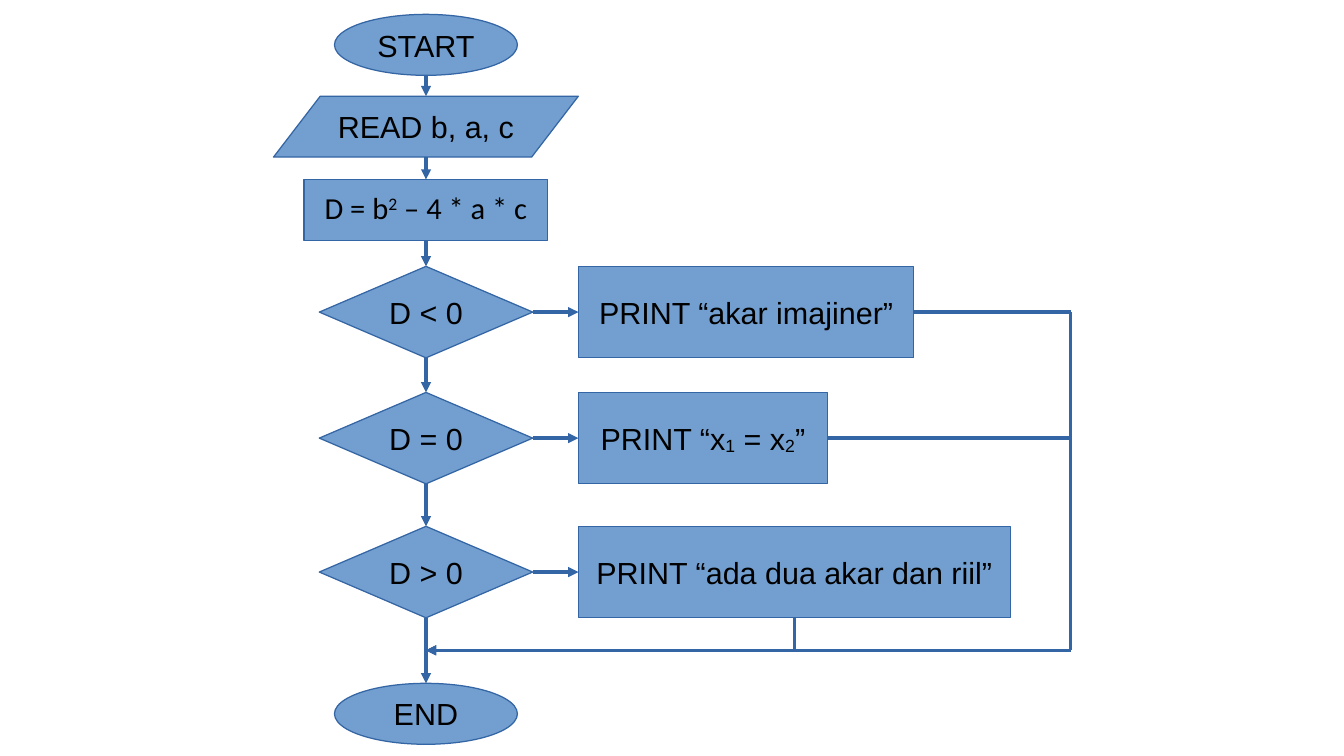
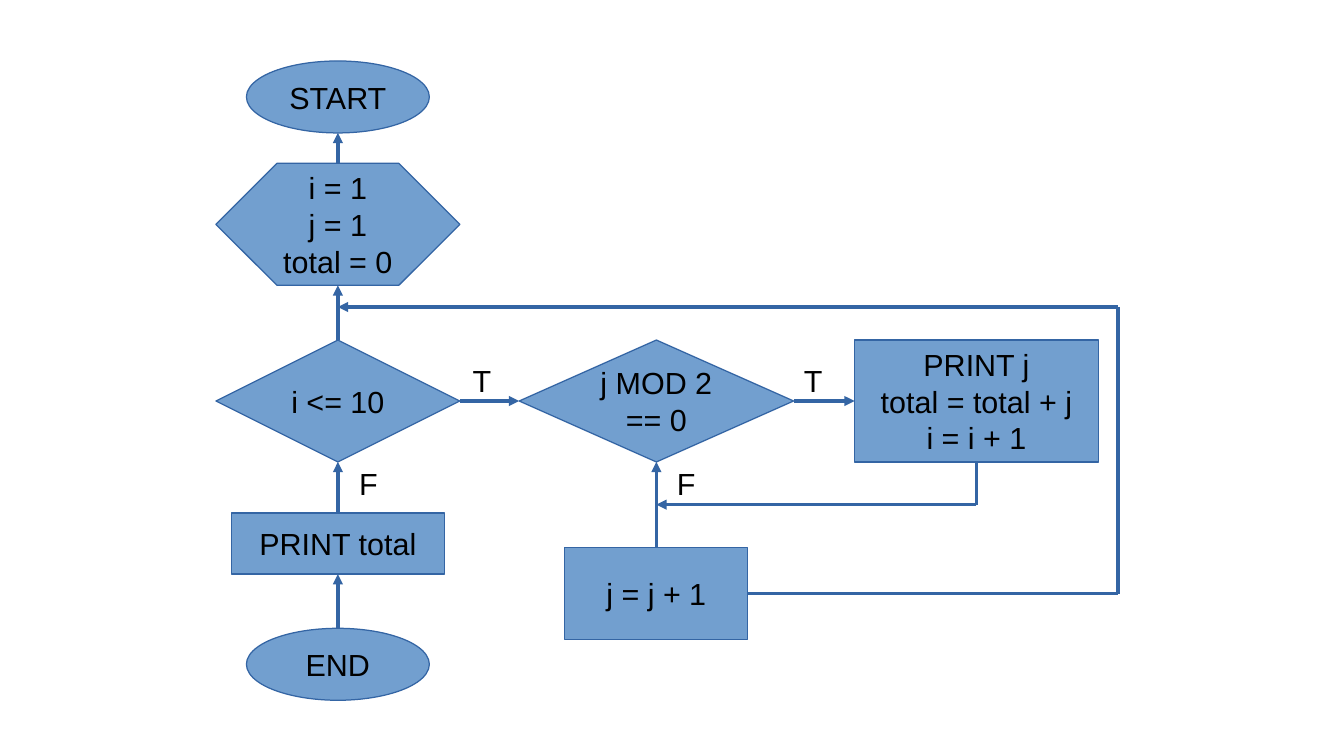
from itertools import pairwise

from pptx import Presentation
from pptx.dml.color import RGBColor
from pptx.enum.shapes import MSO_CONNECTOR as Connector, MSO_SHAPE as Shape
from pptx.enum.text import MSO_ANCHOR as Anchor, MSO_AUTO_SIZE as AutoSize, PP_ALIGN as Align
from pptx.oxml.ns import qn
from pptx.oxml.xmlchemy import OxmlElement
from pptx.util import Pt


def colour(value):
    """Turn a hex string into a colour."""
    return RGBColor.from_string(value)


def side(node, name):
    """Return the middle point of one side of a node."""
    middle_x, middle_y = node.left + node.width // 2, node.top + node.height // 2
    return {
        "top": (middle_x, node.top),
        "bottom": (middle_x, node.top + node.height),
        "left": (node.left, middle_y),
        "right": (node.left + node.width, middle_y),
    }[name]


class Flowchart:
    """Hold the flowchart style and the current page."""

    FILL, LINE, TEXT = "729FCF", "3465A4", "000000"
    FONT, SIZE = "Arial", Pt(18)

    def __init__(self, width, height):
        """Start an empty deck of the given size."""
        self.deck = Presentation()
        self.deck.slide_width, self.deck.slide_height = Pt(width), Pt(height)
        self.page = None

    def new_page(self):
        """Add a blank page and make it current."""
        self.page = self.deck.slides.add_slide(self.deck.slide_layouts[6])

    def style_span(self, span, font):
        """Give one run the shared text style."""
        span.font.name, span.font.size = font, self.SIZE
        span.font.color.rgb = colour(self.TEXT)

    def node(self, kind, centre, top, width, height, *lines, adjust=None):
        """Draw a flowchart symbol with one centred paragraph per line."""
        box = self.page.shapes.add_shape(
            kind, Pt(centre - width / 2), Pt(top), Pt(width), Pt(height))
        if adjust is not None:
            box.adjustments[0] = adjust
        box.shadow.inherit = False
        box.fill.solid()
        box.fill.fore_color.rgb = colour(self.FILL)
        box.line.color.rgb = colour(self.LINE)
        box.line.width = Pt(0)
        frame = box.text_frame
        frame.word_wrap, frame.vertical_anchor = True, Anchor.MIDDLE
        frame.text = "\n".join(lines)
        for para in frame.paragraphs:
            para.alignment = Align.CENTER
            for span in para.runs:
                self.style_span(span, self.FONT)
        return box

    def formula(self, box, parts, shift, font=FONT):
        """Write a formula in which every second part is raised or lowered."""
        para = box.text_frame.paragraphs[0]
        para.alignment = Align.CENTER
        for index, part in enumerate(parts):
            span = para.add_run()
            span.text = part
            self.style_span(span, font)
            if index % 2:
                span._r.get_or_add_rPr().set("baseline", str(shift * 1000))

    def label(self, left, top, text):
        """Write a branch label."""
        box = self.page.shapes.add_textbox(Pt(left), Pt(top), Pt(25), Pt(27.5))
        frame = box.text_frame
        frame.word_wrap, frame.auto_size = False, AutoSize.SHAPE_TO_FIT_TEXT
        frame.text = text
        self.style_span(frame.paragraphs[0].runs[0], self.FONT)

    def route(self, *points):
        """Draw lines through the points with an arrowhead at the last one."""
        for start, end in pairwise(points):
            line = self.page.shapes.add_connector(Connector.STRAIGHT, *start, *end)
            line.line.color.rgb = colour(self.LINE)
            line.line.width = Pt(0)
            properties = line._element.spPr
            if end is points[-1]:
                head = OxmlElement("a:tailEnd")
                head.set("type", "triangle")
                properties.find(qn("a:ln")).append(head)
            properties.append(OxmlElement("a:effectLst"))

    def link(self, source, source_side, target, target_side):
        """Draw a straight arrow between two nodes."""
        self.route(side(source, source_side), side(target, target_side))


def build_roots(chart):
    """Build the flowchart for the roots of a quadratic equation."""
    chart.new_page()
    main, branch_left = 251.5, 341.5
    join_x, join_y = Pt(632), Pt(384)
    start = chart.node(Shape.OVAL, main, 8.5, 108, 36, "START")
    read = chart.node(Shape.PARALLELOGRAM, main, 56.8, 180, 36, "READ b, a, c", adjust=0.767)
    discriminant = chart.node(Shape.RECTANGLE, main, 106, 144, 36)
    chart.formula(discriminant, ("D = b", "2", " – 4 * a * c"), 30, "Calibri")
    discriminant.text_frame.paragraphs[0].line_spacing = 0.9

    column, results = [start, read, discriminant], []
    for top, test, width, lines in (
        (157.3, "D < 0", 198, ["PRINT “akar imajiner”"]),
        (231.7, "D = 0", 147, []),
        (310.8, "D > 0", 255, ["PRINT “ada dua akar dan riil”"]),
    ):
        decision = chart.node(Shape.DIAMOND, main, top, 126, 54, test)
        result = chart.node(Shape.RECTANGLE, branch_left + width / 2, top, width, 54, *lines)
        chart.link(decision, "right", result, "left")
        column.append(decision)
        results.append(result)
    imaginary, equal, distinct = results
    chart.formula(equal, ("PRINT “x", "1", " = x", "2", "”"), -8)

    column.append(chart.node(Shape.OVAL, main, 403.5, 108, 36, "END"))
    for upper, lower in pairwise(column):
        chart.link(upper, "bottom", lower, "top")

    join = (Pt(main), join_y)
    for result in (imaginary, equal):
        begin = side(result, "right")
        chart.route(begin, (join_x, begin[1]), (join_x, join_y), join)
    begin = side(distinct, "bottom")
    chart.route(begin, (begin[0], join_y), join)


def build_total(chart):
    """Build the flowchart that totals the even numbers."""
    chart.new_page()
    main, inner, outer = 199.5, 387.5, 576.5
    row = 200.8
    start = chart.node(Shape.OVAL, main, 36, 108, 42.5, "START")
    setup = chart.node(Shape.HEXAGON, main, 96.5, 144, 72,
                       "i = 1", "j = 1", "total = 0", adjust=0.5)
    limit = chart.node(Shape.DIAMOND, main, row, 144, 72, "i <= 10")
    even = chart.node(Shape.DIAMOND, inner, row, 162, 72, "j MOD 2 == 0")
    add = chart.node(Shape.RECTANGLE, outer, row, 144, 72,
                     "PRINT j", "total = total + j", "i = i + 1")
    step = chart.node(Shape.RECTANGLE, inner, 323.5, 108, 54, "j = j + 1")
    show = chart.node(Shape.RECTANGLE, main, 303, 126, 36, "PRINT total")
    end = chart.node(Shape.OVAL, main, 371, 108, 42.5, "END")

    for upper, lower in (*pairwise((start, setup, limit, show, end)), (even, step)):
        chart.link(lower, "top", upper, "bottom")
    for before, after in pairwise((limit, even, add)):
        chart.link(before, "right", after, "left")

    loop_x, loop_y, merge_y = Pt(660), Pt(181.3), Pt(298)
    begin = side(step, "right")
    chart.route(begin, (loop_x, begin[1]), (loop_x, loop_y), (Pt(main), loop_y))
    begin = side(add, "bottom")
    chart.route(begin, (begin[0], merge_y), (Pt(inner), merge_y))

    for left, top, text in ((272, 210, "T"), (467.5, 210, "T"),
                            (392.5, 271, "F"), (205, 271, "F")):
        chart.label(left, top, text)


def main():
    """Build and save the deck."""
    chart = Flowchart(793.44, 446.4)
    build_roots(chart)
    build_total(chart)
    chart.deck.save("out.pptx")


if __name__ == "__main__":
    main()
